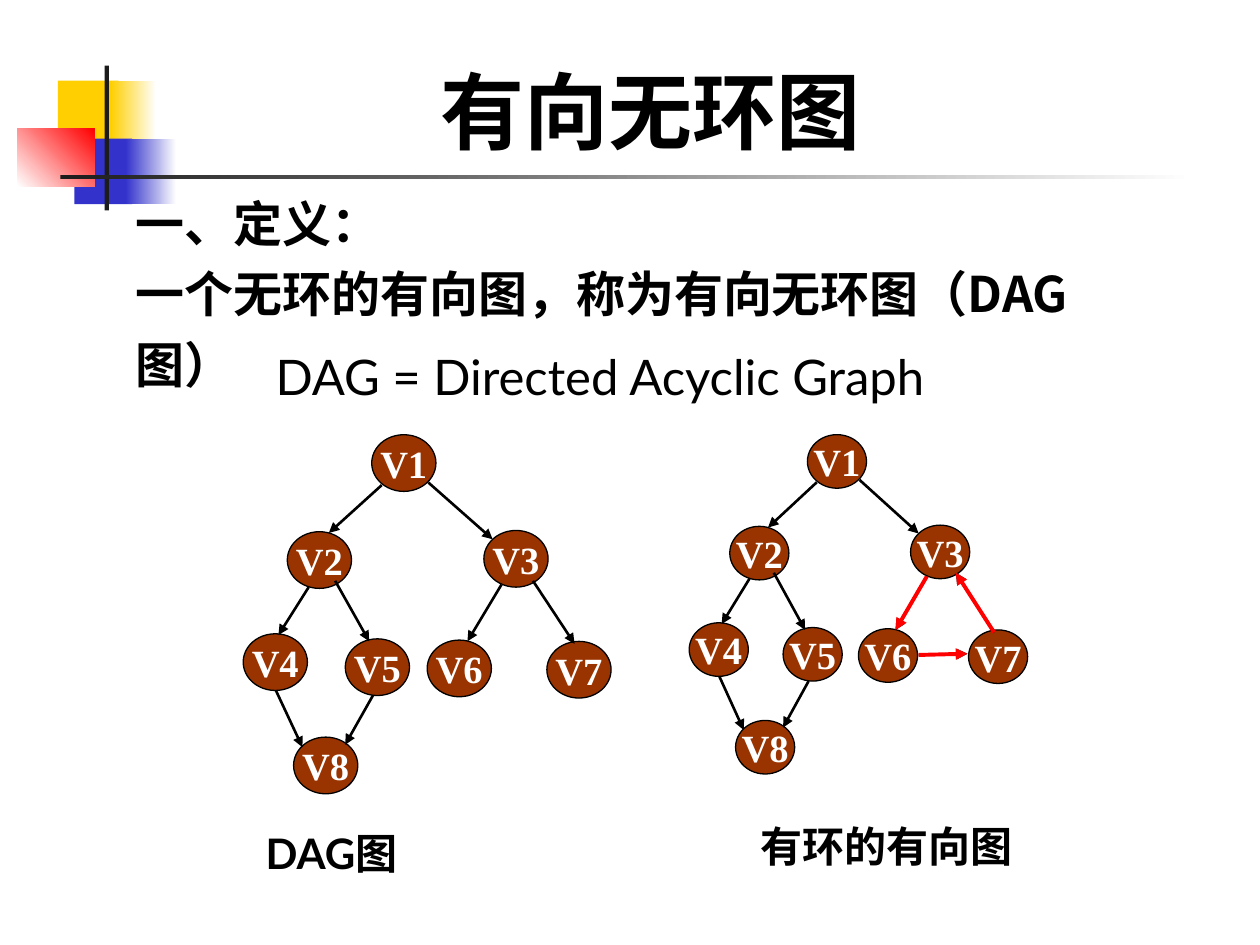
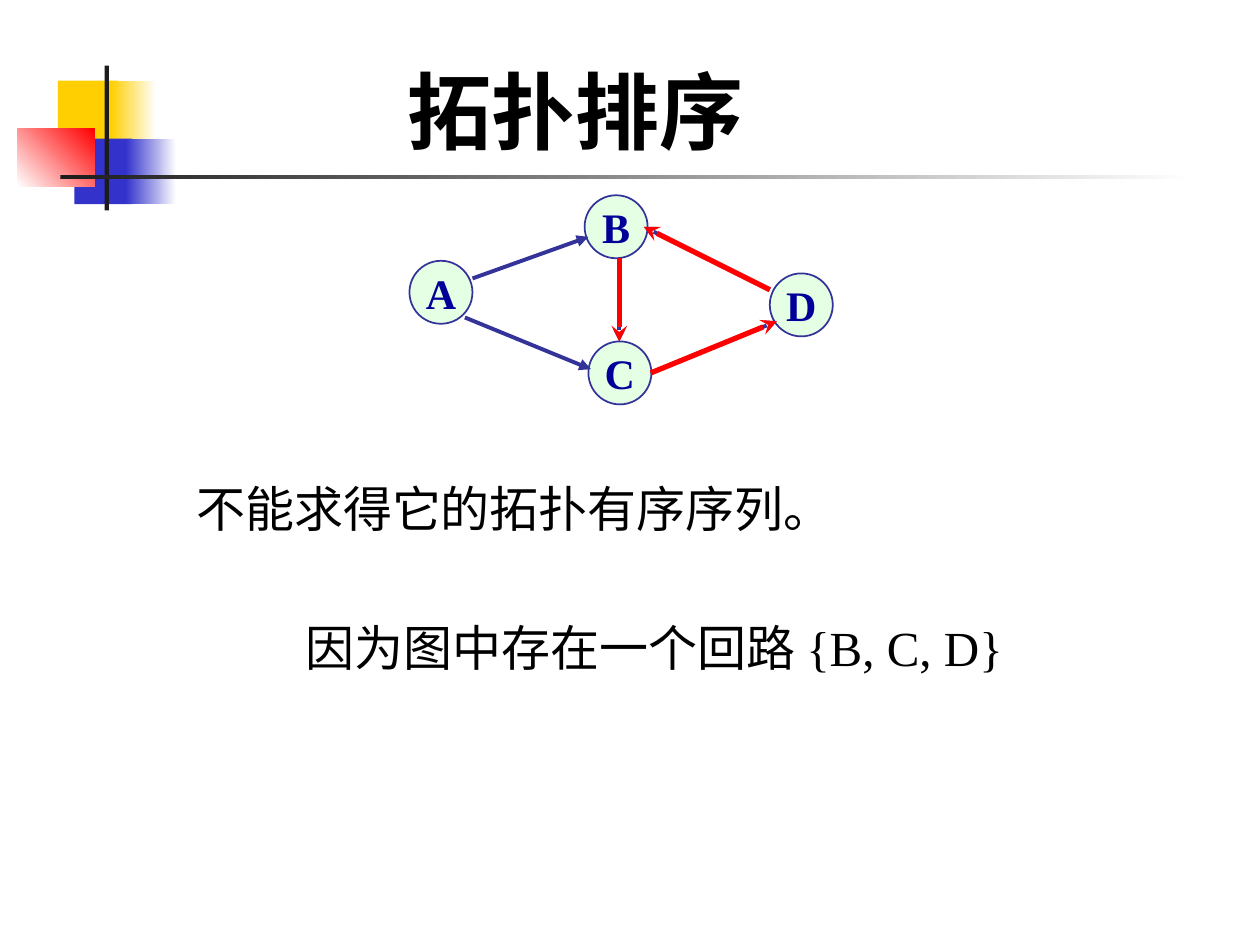
import dataclasses
import typing

import pptx
import pptx.dml.color
import pptx.enum.shapes
import pptx.enum.text
import pptx.oxml.ns
import pptx.util
from lxml import etree

# The slide is a grid of 100 columns by 75 rows with square cells.
COLUMNS, ROWS = 100, 75
CELL = pptx.util.Inches(0.1)

BLACK, WHITE, RED = "000000", "FFFFFF", "FF0000"
YELLOW, BLUE, INK = "FFCF01", "3333CC", "1C1C1C"
BROWN, MINT, INDIGO, NAVY = "993300", "CCFFCC", "333399", "000099"
SERIF, SANS, CJK = "Times New Roman", "Lato", "Noto Sans CJK SC"

SHAPE = pptx.enum.shapes.MSO_SHAPE
ALIGN = pptx.enum.text.PP_ALIGN
Point = tuple[float, float]


class Box(typing.NamedTuple):
    col: float
    row: float
    cols: float
    rows: float


class Edge(typing.NamedTuple):
    start: Point
    end: Point


@dataclasses.dataclass(frozen=True)
class Band:
    box: Box
    start: str
    end: str | None = None
    angle: float = 0


@dataclasses.dataclass(frozen=True)
class TextStyle:
    size: float
    font: str = SERIF
    color: str = BLACK
    bold: bool = False
    align: ALIGN = ALIGN.LEFT
    spacing: float | None = None


@dataclasses.dataclass(frozen=True)
class EdgeStyle:
    color: str
    width: float
    head: str = "triangle"


@dataclasses.dataclass(frozen=True)
class NodeStyle:
    size: Point
    fill: str
    line: str
    line_width: float
    text: TextStyle
    alpha: int | None = None


@dataclasses.dataclass(frozen=True)
class Frame:
    """Placement of a graph: its origin on the grid and its scale."""
    origin: Point = (0, 0)
    scale: Point = (1, 1)

    def place(self, point: Point) -> Point:
        return tuple(o + p * s for o, p, s in zip(self.origin, point, self.scale))


# Shared decoration and text styles
BANDS = [
    Band(Box(4.6, 6.4, 4.8, 5.2), YELLOW),
    Band(Box(8.8, 6.4, 3.6, 5.2), YELLOW, WHITE),
    Band(Box(5.9, 11, 4.6, 5.2), BLUE),
    Band(Box(10, 11, 4, 5.2), BLUE, WHITE),
    Band(Box(1.4, 10.2, 6.1, 4.6), WHITE, RED, 45),
    Band(Box(8.3, 5.2, 0.35, 11.5), INK),
    Band(Box(4.8, 13.9, 90, 0.3), INK, WHITE),
]
TITLE = TextStyle(48, bold=True, align=ALIGN.CENTER)
DEFINITION = TextStyle(28, CJK, bold=True, spacing=1.2)
EXPANSION = TextStyle(28, SANS, spacing=1.2)
CAPTION = TextStyle(24, SANS, bold=True)
REMARK = TextStyle(28)

# Vertex graph of slide 1, relative to its top left corner
VERTEX = NodeStyle((5.1, 4.5), BROWN, BLACK, 0.75,
                   TextStyle(22, color=WHITE, bold=True, align=ALIGN.CENTER))
VERTICES = {
    "V1": (10.2, 0), "V2": (3.5, 7.7), "V4": (0, 15.8), "V5": (8.1, 16.2),
    "V3": (19.1, 7.6), "V7": (24.1, 16.4), "V6": (14.6, 16.3), "V8": (4, 24),
}
TREE_EDGES = [
    Edge((11, 4), (6.8, 7.8)), Edge((14.7, 3.8), (19.8, 8.3)),
    Edge((5.2, 12.1), (2.8, 15.9)), Edge((7.3, 11.6), (10, 16.4)),
    Edge((2.6, 20.3), (4.7, 24.8)), Edge((10.3, 20.7), (8.1, 24.6)),
]
V3_V6 = Edge((20.5, 11.9), (17.8, 16.4))
V3_V7 = Edge((23, 11.6), (26.3, 16.6))
V6_V7 = Edge((19.8, 18.5), (24, 18.4))
V7_V3 = Edge(V3_V7.end, V3_V7.start)
VERTEX_CYCLE = [V3_V6, V6_V7, V7_V3]
DAG_FRAME = Frame((19.3, 34.5))
CYCLIC_FRAME = Frame((54.7, 34.5), (0.92, 0.945))

# Letter graph of slide 2
LETTER = NodeStyle((5, 5), MINT, INDIGO, 1,
                   TextStyle(24, color=NAVY, bold=True, align=ALIGN.CENTER), 50)
LETTERS = {"B": (46.4, 15.5), "D": (61.1, 21.7), "A": (32.5, 20.7), "C": (46.7, 27.1)}
FROM_A = [Edge((37.5, 22.1), (46.7, 18.8)), Edge((36.9, 25.2), (46.9, 29.3))]
LETTER_CYCLE = [
    Edge((51.65, 29.6), (61.65, 25.5)),
    Edge((61.1, 23), (51.1, 18)),
    Edge((49.15, 20.5), (49.15, 27.1)),
]


def rgb(color: str) -> pptx.dml.color.RGBColor:
    return pptx.dml.color.RGBColor.from_string(color)


def grid(*cells: float) -> list[int]:
    return [round(cell * CELL) for cell in cells]


def add_child(parent, tag: str, **attributes: str):
    return etree.SubElement(parent, pptx.oxml.ns.qn(tag), **attributes)


def write(tf, lines: list[str], style: TextStyle, wrap: bool = True) -> None:
    tf.word_wrap = wrap
    for i, line in enumerate(lines):
        p = tf.paragraphs[0] if i == 0 else tf.add_paragraph()
        p.text = line
        p.alignment = style.align
        if style.spacing:
            p.line_spacing = style.spacing
        p.font.size = pptx.util.Pt(style.size)
        p.font.bold = style.bold
        p.font.color.rgb = rgb(style.color)
        p.font.name = style.font
        add_child(p._p.pPr.find(pptx.oxml.ns.qn("a:defRPr")), "a:ea", typeface=CJK)


def add_text(slide, box: Box, lines: list[str], style: TextStyle, wrap: bool = True) -> None:
    tf = slide.shapes.add_textbox(*grid(*box)).text_frame
    write(tf, lines, style, wrap)
    tf.auto_size = pptx.enum.text.MSO_AUTO_SIZE.SHAPE_TO_FIT_TEXT


def add_band(slide, band: Band) -> None:
    sp = slide.shapes.add_shape(SHAPE.RECTANGLE, *grid(*band.box))
    sp.shadow.inherit = False
    sp.line.fill.background()
    if band.end is None:
        sp.fill.solid()
        sp.fill.fore_color.rgb = rgb(band.start)
        return
    sp.fill.gradient()
    sp.fill.gradient_angle = band.angle
    for stop, color in zip(sp.fill.gradient_stops, (band.start, band.end)):
        stop.color.rgb = rgb(color)


def add_node(shapes, label: str, at: Point, frame: Frame, style: NodeStyle) -> None:
    size = (length * s for length, s in zip(style.size, frame.scale))
    sp = shapes.add_shape(SHAPE.OVAL, *grid(*frame.place(at), *size))
    sp.shadow.inherit = False
    sp.fill.solid()
    sp.fill.fore_color.rgb = rgb(style.fill)
    if style.alpha is not None:
        fill = sp.element.spPr.find(pptx.oxml.ns.qn("a:solidFill"))
        add_child(fill[0], "a:alpha", val=str(style.alpha * 1000))
    sp.line.color.rgb = rgb(style.line)
    sp.line.width = pptx.util.Pt(style.line_width)
    sp.text_frame.vertical_anchor = pptx.enum.text.MSO_ANCHOR.MIDDLE
    write(sp.text_frame, [label], style.text, wrap=False)


def add_edges(shapes, edges: list[Edge], frame: Frame, style: EdgeStyle) -> None:
    for edge in edges:
        cn = shapes.add_connector(pptx.enum.shapes.MSO_CONNECTOR.STRAIGHT,
                                  *grid(*frame.place(edge.start), *frame.place(edge.end)))
        cn.line.color.rgb = rgb(style.color)
        cn.line.width = pptx.util.Pt(style.width)
        spPr = cn.element.spPr
        add_child(spPr.find(pptx.oxml.ns.qn("a:ln")), "a:tailEnd", type=style.head)
        add_child(spPr, "a:effectLst")


def add_nodes(slide, nodes: dict[str, Point], frame: Frame, style: NodeStyle):
    """Draw the nodes in a group and return its shapes, ready for edges."""
    shapes = slide.shapes.add_group_shape().shapes
    for label, at in nodes.items():
        add_node(shapes, label, at, frame, style)
    return shapes


def add_slide(prs):
    slide = prs.slides.add_slide(prs.slide_layouts[6])
    for band in BANDS:
        add_band(slide, band)
    return slide


def build_dag_slide(prs) -> None:
    slide = add_slide(prs)
    add_text(slide, Box(13, 4.2, 77.2, 9), ["有向无环图"], TITLE)
    add_text(slide, Box(9.8, 13.9, 83.5, 17.8),
             ["一、定义：", "一个无环的有向图，称为有向无环图（DAG图）"], DEFINITION)

    # Acyclic graph beside the same graph with a cycle
    black = EdgeStyle(BLACK, 1.5)
    for frame, branch in ((DAG_FRAME, [V3_V6, V3_V7]), (CYCLIC_FRAME, VERTEX_CYCLE)):
        shapes = add_nodes(slide, VERTICES, frame, VERTEX)
        add_edges(shapes, TREE_EDGES + branch, frame, black)
    add_text(slide, Box(20.1, 65.2, 14.2, 5), ["DAG图"], CAPTION)
    add_text(slide, Box(59.4, 64.6, 25.2, 5), ["有环的有向图"], CAPTION)
    add_edges(slide.shapes, VERTEX_CYCLE, CYCLIC_FRAME, EdgeStyle(RED, 2.25))
    add_text(slide, Box(20.9, 26.1, 58.3, 6.6), ["DAG = Directed Acyclic Graph"], EXPANSION)


def build_sorting_slide(prs) -> None:
    slide = add_slide(prs)
    frame = Frame()
    shapes = add_nodes(slide, LETTERS, frame, LETTER)
    add_edges(shapes, FROM_A, frame, EdgeStyle(INDIGO, 2.25))
    add_edges(shapes, LETTER_CYCLE, frame, EdgeStyle(INDIGO, 2.25, "stealth"))
    add_text(slide, Box(14.6, 37.5, 52.5, 5.7), ["不能求得它的拓扑有序序列。"], REMARK, wrap=False)
    add_text(slide, Box(23.3, 48.5, 58.2, 5.7),
             ["因为图中存在一个回路 {B, C, D}"], REMARK, wrap=False)
    add_text(slide, Box(13, 4.2, 65.4, 9), ["拓扑排序"], TITLE)
    add_edges(slide.shapes, LETTER_CYCLE, frame, EdgeStyle(RED, 3, "stealth"))


def main() -> None:
    prs = pptx.Presentation()
    prs.slide_width, prs.slide_height = grid(COLUMNS, ROWS)
    build_dag_slide(prs)
    build_sorting_slide(prs)
    prs.save("out.pptx")


if __name__ == "__main__":
    main()
